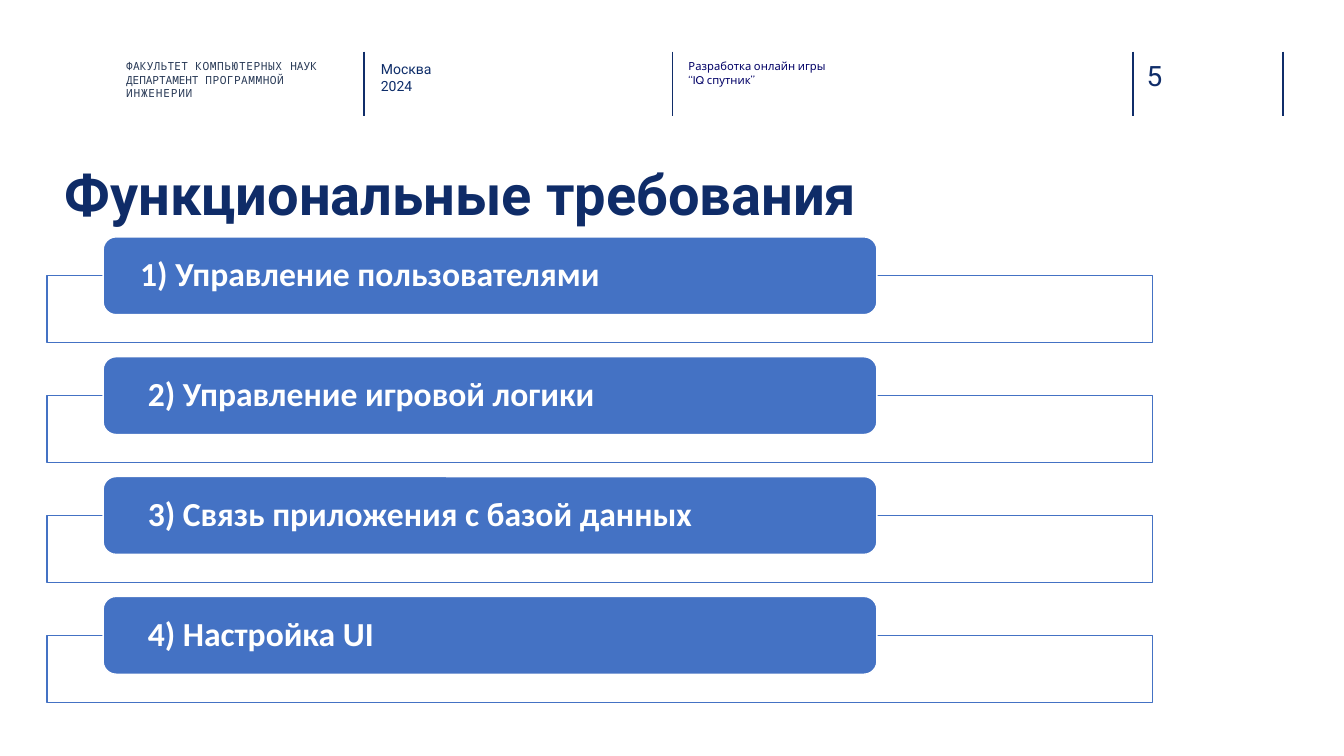
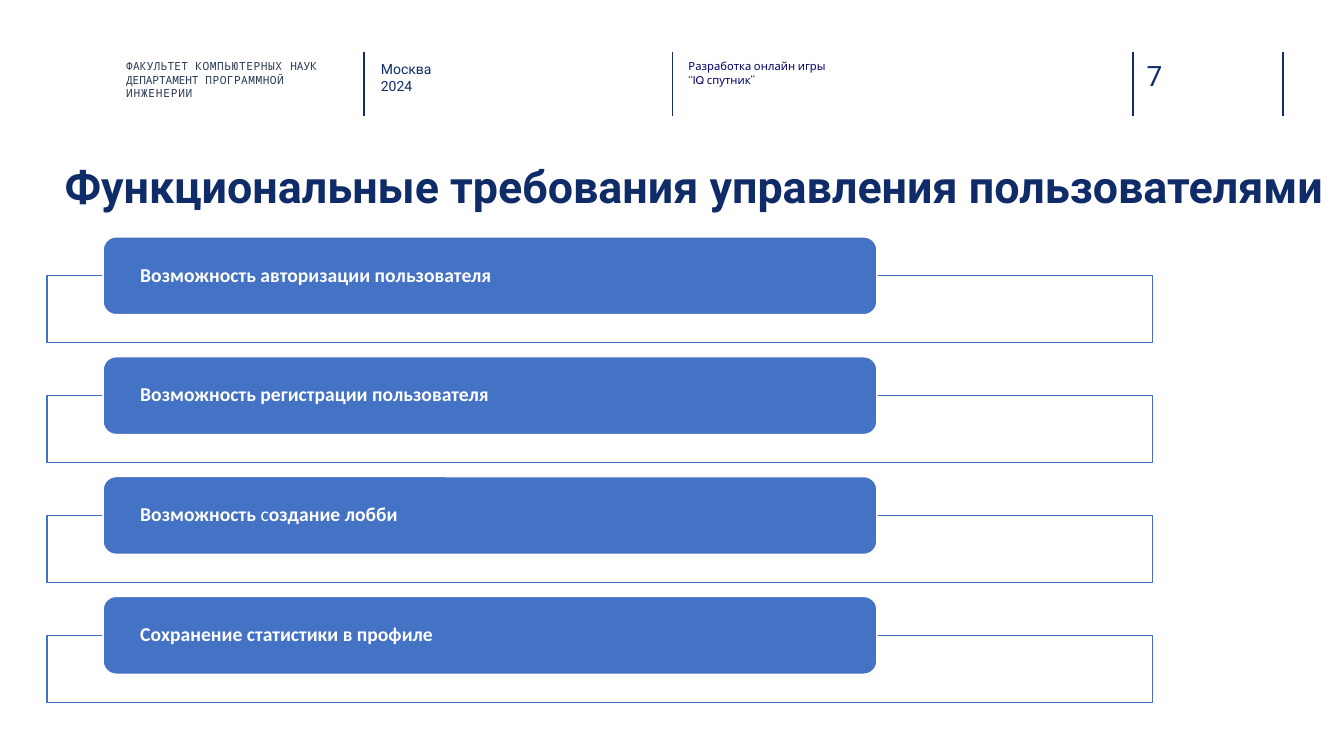
"""Build two slides of functional requirements with a shared header."""
from lxml.etree import SubElement
from pptx import Presentation
from pptx.dml.color import RGBColor as RGB
from pptx.enum.shapes import MSO_CONNECTOR as LINE, MSO_SHAPE as SHAPE
from pptx.enum.text import MSO_ANCHOR as ANCHOR, PP_ALIGN as ALIGN
from pptx.oxml.ns import qn
from pptx.util import Cm, Pt

COLORS = {
    "rule": "102D69",
    "title": "0F2C68",
    "faculty": "263754",
    "city": "0E2D69",
    "project": "000066",
    "card": "4472C4",
    "white": "FFFFFF",
}
RULES_X = [9.17, 16.94, 28.55, 32.33]
FACULTY = [
    [("ФАКУЛЬТЕТ ", 10), ("КОМПЬЮТЕРНЫХ ", 40), ("НАУК", 0)],
    [("ДЕПАРТАМЕНТ ", -10), ("ПРОГРАММНОЙ ", 30), ("ИНЖЕНЕРИИ", 50)],
]
CITY = [[("Москва", 0)], [("2024", 0)]]
PROJECT = [[("Разработка онлайн игры", 0)], [("“IQ спутник”", 0)]]
FIRST_TOP, PITCH = 5.97, 3.02

SLIDES = [
    {
        "number": "5",
        "title": "Функциональные требования",
        "title_size": 40,
        "card_size": 24,
        "cards": [
            [("1) Управление пользователями", True)],
            [(" 2) Управление игровой логики", True)],
            [(" 3) Связь приложения с базой данных", True)],
            [(" 4) Настройка UI", True)],
        ],
    },
    {
        "number": "7",
        "title": "Функциональные требования управления пользователями",
        "title_size": 32,
        "card_size": 14,
        "cards": [
            [("Возможность авторизации пользователя", True)],
            [("Возможность регистрации пользователя", True)],
            [("Возможность", True), (" с", False), ("оздание лобби", True)],
            [("Сохранение статистики в профиле", True)],
        ],
    },
]


def add_text(slide, box, lines, font, size, color, bold=False):
    frame = slide.shapes.add_textbox(*map(Cm, box)).text_frame
    frame.word_wrap = True
    frame.margin_left = frame.margin_right = frame.margin_top = frame.margin_bottom = 0
    for index, line in enumerate(lines):
        paragraph = frame.add_paragraph() if index else frame.paragraphs[0]
        paragraph.font.name = font
        paragraph.font.size = Pt(size)
        paragraph.font.bold = bold
        paragraph.font.color.rgb = RGB.from_string(COLORS[color])
        for text, spacing in line:
            run = paragraph.add_run()
            run.text = text
            if spacing:
                run._r.get_or_add_rPr().set("spc", str(spacing))


def add_panel(slide, kind, box, fill, line):
    panel = slide.shapes.add_shape(kind, *map(Cm, box))
    panel.shadow.inherit = False
    panel.fill.solid()
    panel.fill.fore_color.rgb = RGB.from_string(COLORS[fill])
    panel.line.color.rgb = RGB.from_string(COLORS[line])
    panel.line.width = Pt(1)
    return panel


prs = Presentation()
prs.slide_width, prs.slide_height = Cm(33.87), Cm(19.05)

for content in SLIDES:
    slide = prs.slides.add_slide(prs.slide_layouts[6])

    for x in RULES_X:
        rule = slide.shapes.add_connector(LINE.STRAIGHT, Cm(x), Cm(1.3), Cm(x), Cm(2.92))
        rule.line.color.rgb = RGB.from_string(COLORS["rule"])
        rule.line.width = Pt(1)
        SubElement(rule._element.spPr, qn("a:effectLst"))

    add_text(slide, (3.18, 1.5, 5.28, 1.14), FACULTY, "Noto Sans Mono", 8, "faculty")
    add_text(slide, (9.6, 1.52, 5.74, 1.14), CITY, "Roboto", 10, "city")
    add_text(slide, (17.35, 1.5, 11.02, 1.14), PROJECT, "Cabin", 8, "project")
    add_text(slide, (28.9, 1.47, 1.85, 0.86), [[(content["number"], 0)]], "Roboto", 20, "rule")
    add_text(slide, (1.63, 4.01, 31.75, 2.16), [[(content["title"], 0)]],
             "Roboto", content["title_size"], "title", True)

    for row, words in enumerate(content["cards"]):
        top = FIRST_TOP + row * PITCH
        add_panel(slide, SHAPE.RECTANGLE, (1.19, top + 0.98, 27.86, 1.69), "white", "card")
        card = add_panel(slide, SHAPE.ROUNDED_RECTANGLE, (2.6, top, 19.5, 1.96), "card", "white")
        frame = card.text_frame
        frame.word_wrap = True
        frame.vertical_anchor = ANCHOR.MIDDLE
        frame.margin_left = frame.margin_right = Cm(0.84)
        frame.margin_top = frame.margin_bottom = 0
        paragraph = frame.paragraphs[0]
        paragraph.alignment = ALIGN.LEFT
        paragraph.line_spacing = 0.9
        paragraph.font.name = "Calibri"
        paragraph.font.size = Pt(content["card_size"])
        paragraph.font.color.rgb = RGB.from_string(COLORS["white"])
        for text, bold in words:
            run = paragraph.add_run()
            run.text = text
            run.font.bold = bold

prs.save("out.pptx")
